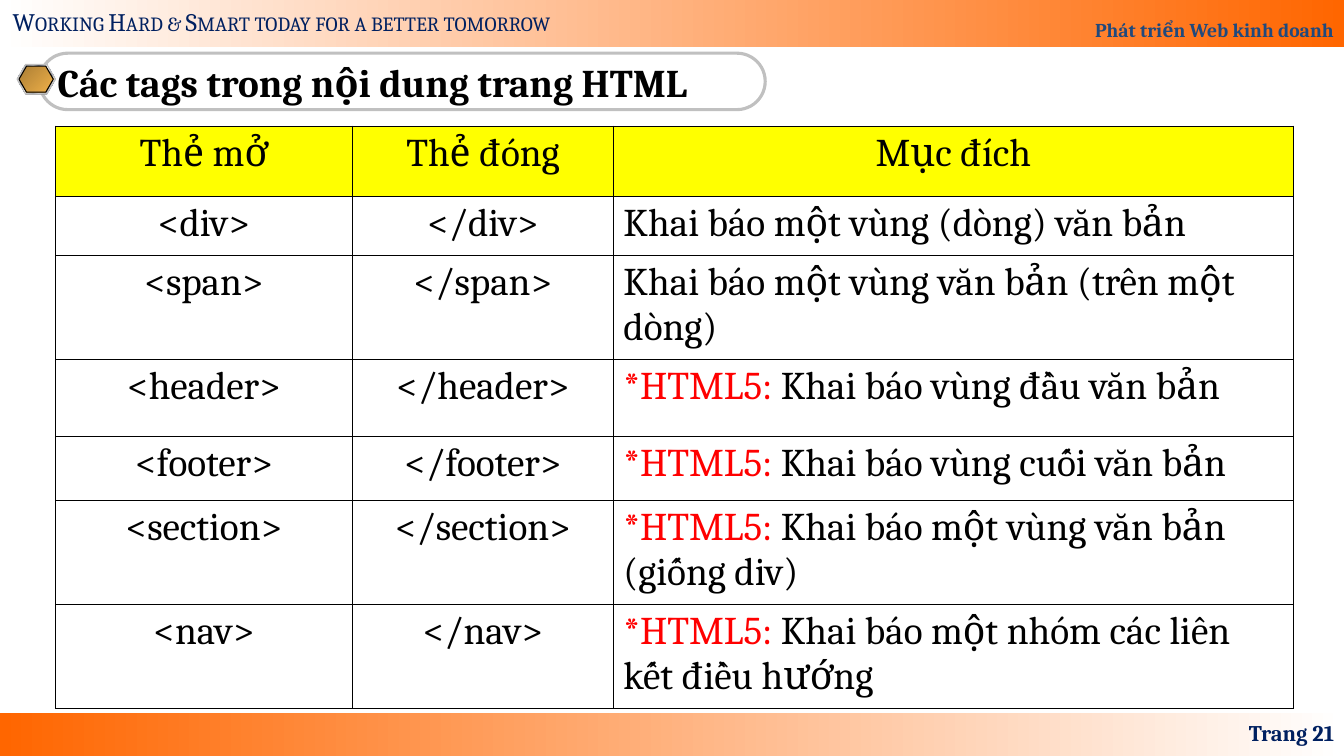
from pptx import Presentation
from pptx.dml.color import RGBColor
from pptx.enum.shapes import MSO_SHAPE
from pptx.enum.text import MSO_ANCHOR, PP_ALIGN
from pptx.oxml import parse_xml
from pptx.oxml.ns import nsdecls, qn
from pptx.util import Pt

WHITE = RGBColor(0xFF, 0xFF, 0xFF)
BLACK = RGBColor(0x00, 0x00, 0x00)
ORANGE = RGBColor(0xFF, 0x66, 0x00)
NAVY = RGBColor(0x00, 0x20, 0x60)
BLUE = RGBColor(0x1F, 0x49, 0x7D)
YELLOW = RGBColor(0xFF, 0xFF, 0x00)
RED = RGBColor(0xFF, 0x00, 0x00)
GREY = RGBColor(0x80, 0x80, 0x80)
SILVER = RGBColor(0xC0, 0xC0, 0xC0)
LIGHT = RGBColor(0xE6, 0xE6, 0xE6)
STEEL = RGBColor(0x7D, 0x84, 0x96)
BRONZE = RGBColor(0xAB, 0x7E, 0x34)
GOLD = RGBColor(0xEF, 0xB0, 0x49)

SLIDE_WIDTH, SLIDE_HEIGHT = 960, 540
CHROME = [(0, LIGHT), (7, STEEL), (26, LIGHT), (34, STEEL), (46, LIGHT), (50, WHITE),
          (54, LIGHT), (66, STEEL), (74, LIGHT), (93, STEEL), (100, LIGHT)]
HTML5 = "*HTML5: "
HEADERS = ["Thẻ mở", "Thẻ đóng", "Mục đích"]
TAGS = [
    ("div", "", "Khai báo một vùng (dòng) văn bản"),
    ("span", "", "Khai báo một vùng văn bản (trên một dòng)"),
    ("header", HTML5, "Khai báo vùng đầu văn bản"),
    ("footer", HTML5, "Khai báo vùng cuối văn bản"),
    ("section", HTML5, "Khai báo một vùng văn bản (giống div)"),
    ("nav", HTML5, "Khai báo một nhóm các liên kết điều hướng"),
]
COLUMN_WIDTHS = [212.2, 186.4, 485.8]
ROW_HEIGHTS = [50.2, 42, 74.4, 55.2, 45.6, 74.4, 74.4]


class SlideBuilder:
    font_name = "Cambria"

    def __init__(self, slide):
        self.slide = slide

    def fill_text(self, text_frame, runs, align=PP_ALIGN.LEFT, spacing=None, **font_format):
        """Fill the first paragraph with (text, colour) runs."""
        paragraph = text_frame.paragraphs[0]
        paragraph.alignment = align
        if spacing:
            paragraph.line_spacing = spacing
        for text, color in runs:
            run = paragraph.add_run()
            run.text = text
            for name, value in {"name": self.font_name, **font_format}.items():
                setattr(run.font, name, value)
            run.font.color.rgb = color
        return paragraph

    def set_gradient(self, shape, stops, angle):
        shape.fill.gradient()
        shape.fill.gradient_angle = -angle % 360
        stop_list = shape._element.spPr.find(qn("a:gradFill")).find(qn("a:gsLst"))
        for stop in list(stop_list):
            stop_list.remove(stop)
        for percent, color in stops:
            stop_list.append(parse_xml(
                f'<a:gs {nsdecls("a")} pos="{percent * 1000}">'
                f'<a:srgbClr val="{color}"/></a:gs>'))

    def add_shape(self, kind, box, fill=None, angle=0, line=None, line_width=0.75,
                  adjustments=()):
        """Add a preset shape; fill is a colour, a list of gradient stops or None."""
        shape = self.slide.shapes.add_shape(kind, *map(Pt, box))
        shape.shadow.inherit = False
        for index, value in enumerate(adjustments):
            shape.adjustments[index] = value
        if fill is None:
            shape.fill.background()
        elif isinstance(fill, list):
            self.set_gradient(shape, fill, angle)
        else:
            shape.fill.solid()
            shape.fill.fore_color.rgb = fill
        if line is None:
            shape.line.fill.background()
        else:
            shape.line.color.rgb = line
            shape.line.width = Pt(line_width)
        return shape

    def add_text(self, box, text, color, anchor=MSO_ANCHOR.TOP, wrap=True, **style):
        text_frame = self.slide.shapes.add_textbox(*map(Pt, box)).text_frame
        text_frame.word_wrap = wrap
        text_frame.vertical_anchor = anchor
        return self.fill_text(text_frame, [(text, color)], **style)

    def add_cell_borders(self, cell):
        properties = cell._tc.get_or_add_tcPr()
        for index, side in enumerate(("lnL", "lnR", "lnT", "lnB")):
            properties.insert(index, parse_xml(
                f'<a:{side} {nsdecls("a")} w="{Pt(0.75)}"><a:solidFill>'
                f'<a:srgbClr val="{BLACK}"/></a:solidFill></a:{side}>'))

    def add_table(self, left, top, column_widths, row_heights, rows):
        """Add a table whose cells are lists of runs; the last column is left-aligned."""
        table = self.slide.shapes.add_table(
            len(row_heights), len(column_widths), Pt(left), Pt(top),
            Pt(sum(column_widths)), Pt(sum(row_heights))).table
        table.first_row = table.horz_banding = False
        for column, width in zip(table.columns, column_widths):
            column.width = Pt(width)
        for row, height in zip(table.rows, row_heights):
            row.height = Pt(height)
        for row_index, row in enumerate(rows):
            for column_index, runs in enumerate(row):
                cell = table.cell(row_index, column_index)
                if row_index == 0:
                    cell.fill.solid()
                    cell.fill.fore_color.rgb = YELLOW
                else:
                    cell.fill.background()
                is_purpose = row_index > 0 and column_index == len(row) - 1
                align = PP_ALIGN.LEFT if is_purpose else PP_ALIGN.CENTER
                self.fill_text(cell.text_frame, runs, align, size=Pt(28))
                self.add_cell_borders(cell)


def add_bars(builder):
    builder.add_shape(MSO_SHAPE.RECTANGLE, (0, 509, SLIDE_WIDTH, 31),
                      [(0, ORANGE), (100, WHITE)])
    top_bar = builder.add_shape(MSO_SHAPE.RECTANGLE, (0, 0, SLIDE_WIDTH, 33.4),
                                [(0, WHITE), (100, ORANGE)])
    top_bar.text_frame.vertical_anchor = MSO_ANCHOR.BOTTOM
    builder.fill_text(top_bar.text_frame, [("Phát triển Web kinh doanh", BLUE)],
                      PP_ALIGN.RIGHT, 1.8, size=Pt(14), bold=True)
    motto = builder.add_text((2, 0.8, 425, 29),
                             "Working Hard & Smart today for a better tomorrow",
                             NAVY, wrap=False, size=Pt(18))
    motto.runs[0].font._element.set("cap", "small")
    builder.add_text((736, 509, 224, 29), "Trang 21", NAVY, MSO_ANCHOR.MIDDLE,
                     align=PP_ALIGN.RIGHT, size=Pt(16), bold=True)


def add_heading(builder):
    pill = builder.add_shape(MSO_SHAPE.ROUNDED_RECTANGLE, (28.2, 38, 518.4, 40.3),
                             line=SILVER, line_width=2.25, adjustments=[0.5])
    pill.text_frame.vertical_anchor = MSO_ANCHOR.MIDDLE
    builder.fill_text(pill.text_frame, [("Các tags trong nội dung trang HTML", BLACK)],
                      PP_ALIGN.JUSTIFY, size=Pt(28), bold=True)
    for box, fill, line in (
        ((12.2, 46.6, 27.4, 21), GREY, None),
        ((12.2, 46, 27.4, 21), CHROME, SILVER),
        ((13.6, 47.3, 24.5, 18.5), [(0, BRONZE), (100, GOLD)], BLACK),
    ):
        builder.add_shape(MSO_SHAPE.HEXAGON, box, fill, 45, line,
                          adjustments=[0.289, 1.155])


def main():
    presentation = Presentation()
    presentation.slide_width = Pt(SLIDE_WIDTH)
    presentation.slide_height = Pt(SLIDE_HEIGHT)
    builder = SlideBuilder(presentation.slides.add_slide(presentation.slide_layouts[6]))
    add_bars(builder)
    add_heading(builder)
    rows = [[[(header, BLACK)] for header in HEADERS]]
    for tag, prefix, purpose in TAGS:
        purpose_runs = [(prefix, RED)] if prefix else []
        rows.append([[(f"<{tag}>", BLACK)], [(f"</{tag}>", BLACK)],
                     purpose_runs + [(purpose, BLACK)]])
    builder.add_table(39.6, 90, COLUMN_WIDTHS, ROW_HEIGHTS, rows)
    presentation.save("out.pptx")


if __name__ == "__main__":
    main()
